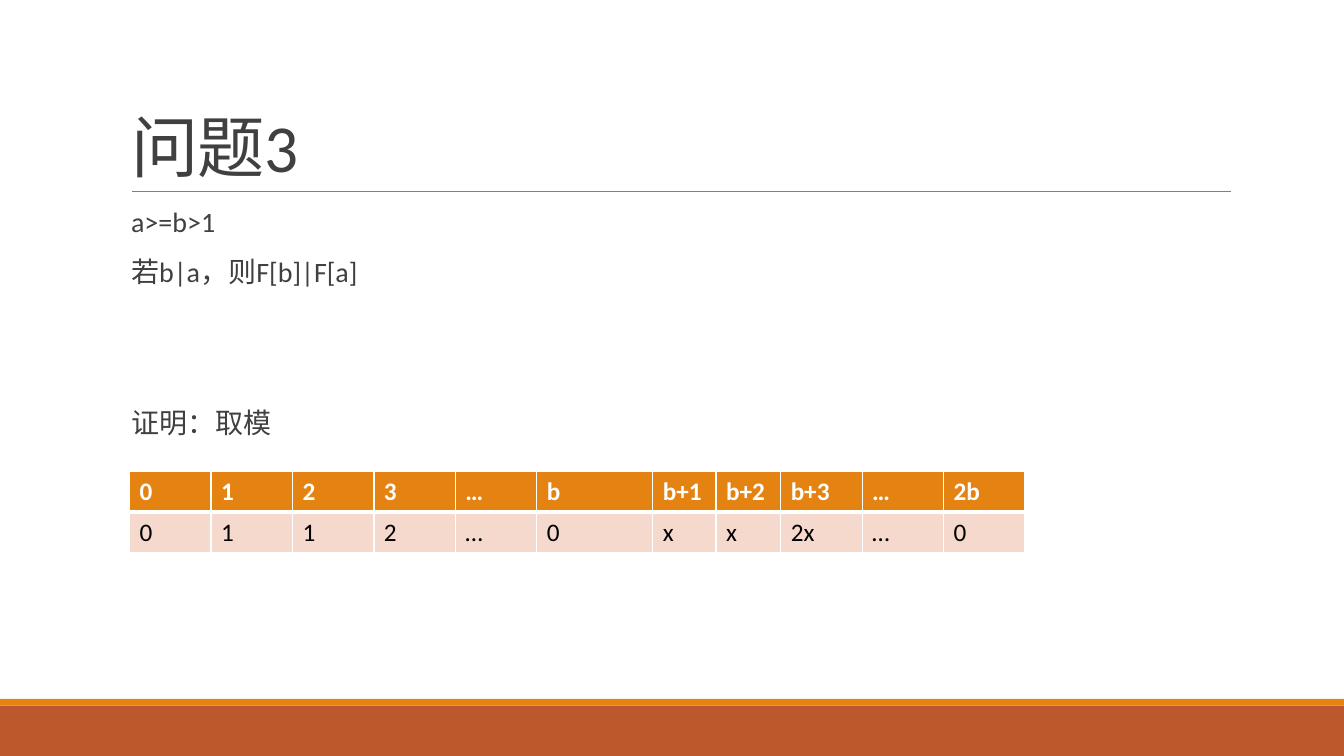
from lxml.etree import SubElement as Sub
from pptx import Presentation
from pptx.dml.color import RGBColor
from pptx.enum.shapes import MSO_CONNECTOR as Link, MSO_SHAPE as Kind
from pptx.enum.text import MSO_ANCHOR as Anchor, MSO_AUTO_SIZE as Fit, PP_ALIGN as Align
from pptx.oxml.ns import qn
from pptx.util import Pt

RUST = RGBColor(0xBD, 0x58, 0x2C)
AMBER = RGBColor(0xE4, 0x83, 0x12)
PINK = RGBColor(0xF5, 0xD9, 0xCC)
GRAY = RGBColor(0x80, 0x80, 0x80)
DARK = RGBColor(0x40, 0x40, 0x40)
WHITE = RGBColor(0xFF, 0xFF, 0xFF)
BLACK = RGBColor(0, 0, 0)

LINES = [("a>=b>1", 12), ("若b|a，则F[b]|F[a]", 12), ("证明：取模", 84)]
HEAD = ["0", "1", "2", "3", "…", "b", "b+1", "b+2", "b+3", "…", "2b"]
VALUES = ["0", "1", "1", "2", "…", "0", "x", "x", "2x", "…", "0"]
WIDTHS = [58.2] * 5 + [82.8, 45.2, 46.2] + [58.2] * 3


def write(para, text, size=20, color=DARK, bold=False, track=0, ratio=None, before=None, after=None):
    para.alignment = Align.LEFT
    para.line_spacing = ratio
    if before is not None:
        para.space_before = Pt(before)
    if after is not None:
        para.space_after = Pt(after)
    run = para.add_run()
    run.text = text
    font = run.font
    font.name, font.size, font.bold = "Calibri", Pt(size), bold
    font.color.rgb = color
    if track:
        font._element.set("spc", str(round(track * 100)))


def place(shape, box, anchor):
    shape.left, shape.top, shape.width, shape.height = map(Pt, box)
    frame = shape.text_frame
    frame.word_wrap = True
    frame.auto_size = Fit.NONE
    frame.vertical_anchor = anchor
    return frame


def add_title(slide, box):
    frame = place(slide.shapes.title, box, Anchor.BOTTOM)
    write(frame.paragraphs[0], "问题3", size=48, track=-0.5, ratio=0.85)


def add_body(slide, box):
    frame = place(slide.placeholders[1], box, Anchor.TOP)
    frame.margin_left = frame.margin_right = 0
    for i, (text, gap) in enumerate(LINES):
        para = frame.add_paragraph() if i else frame.paragraphs[0]
        write(para, text, ratio=0.9, before=gap, after=2)
        props = para._p.get_or_add_pPr()
        props.set("marL", str(Pt(7.2)))
        props.set("indent", str(Pt(-7.2)))
        tint = Sub(props, qn("a:buClr"))
        Sub(tint, qn("a:srgbClr"), val=str(AMBER))
        Sub(props, qn("a:buChar"), char=" ")


def add_bar(slide, box, color):
    bar = slide.shapes.add_shape(Kind.RECTANGLE, *map(Pt, box))
    bar.shadow.inherit = False
    bar.fill.solid()
    bar.fill.fore_color.rgb = color
    bar.line.fill.background()


def add_footer(slide, box):
    left, top, width, height = box
    strip = 4.8
    add_bar(slide, (left, top + strip, width, height - strip), RUST)
    add_bar(slide, (left, top, width, strip), AMBER)


def add_rule(slide, box):
    left, top, width, height = box
    rule = slide.shapes.add_connector(Link.STRAIGHT, Pt(left), Pt(top), Pt(left + width), Pt(top + height))
    rule.line.color.rgb = GRAY
    rule.line.width = Pt(0.5)
    Sub(rule._element.spPr, qn("a:effectLst"))


def edge(cell, top, bottom):
    props = cell._tc.get_or_add_tcPr()
    sides = [("L", 1), ("R", 1), ("T", top), ("B", bottom)]
    for i, (side, width) in enumerate(sides):
        line = props.makeelement(qn("a:ln" + side), {"w": str(Pt(width))})
        Sub(Sub(line, qn("a:solidFill")), qn("a:srgbClr"), val=str(WHITE))
        props.insert(i, line)


def add_grid(slide, box):
    styles = [(HEAD, AMBER, WHITE, True, 1, 3), (VALUES, PINK, BLACK, False, 3, 1)]
    grid = slide.shapes.add_table(len(styles), len(HEAD), *map(Pt, box)).table
    for col, width in zip(grid.columns, WIDTHS):
        col.width = Pt(width)
    for r, (texts, fill, color, bold, top, bottom) in enumerate(styles):
        for c, text in enumerate(texts):
            cell = grid.cell(r, c)
            cell.fill.solid()
            cell.fill.fore_color.rgb = fill
            edge(cell, top, bottom)
            write(cell.text_frame.paragraphs[0], text, size=18, color=color, bold=bold)


def main():
    deck = Presentation()
    deck.slide_width, deck.slide_height = Pt(960), Pt(540)
    slide = deck.slides.add_slide(deck.slide_layouts[1])
    add_footer(slide, (0, 499.2, 960, 40.8))
    add_rule(slide, (94.3, 136.8, 784.8, 0))
    add_title(slide, (86.4, 22.3, 792, 114.5))
    add_body(slide, (86.4, 145.4, 792, 316.8))
    add_grid(slide, (92.5, 336.6, sum(WIDTHS), 58.4))
    deck.save("out.pptx")


if __name__ == "__main__":
    main()
